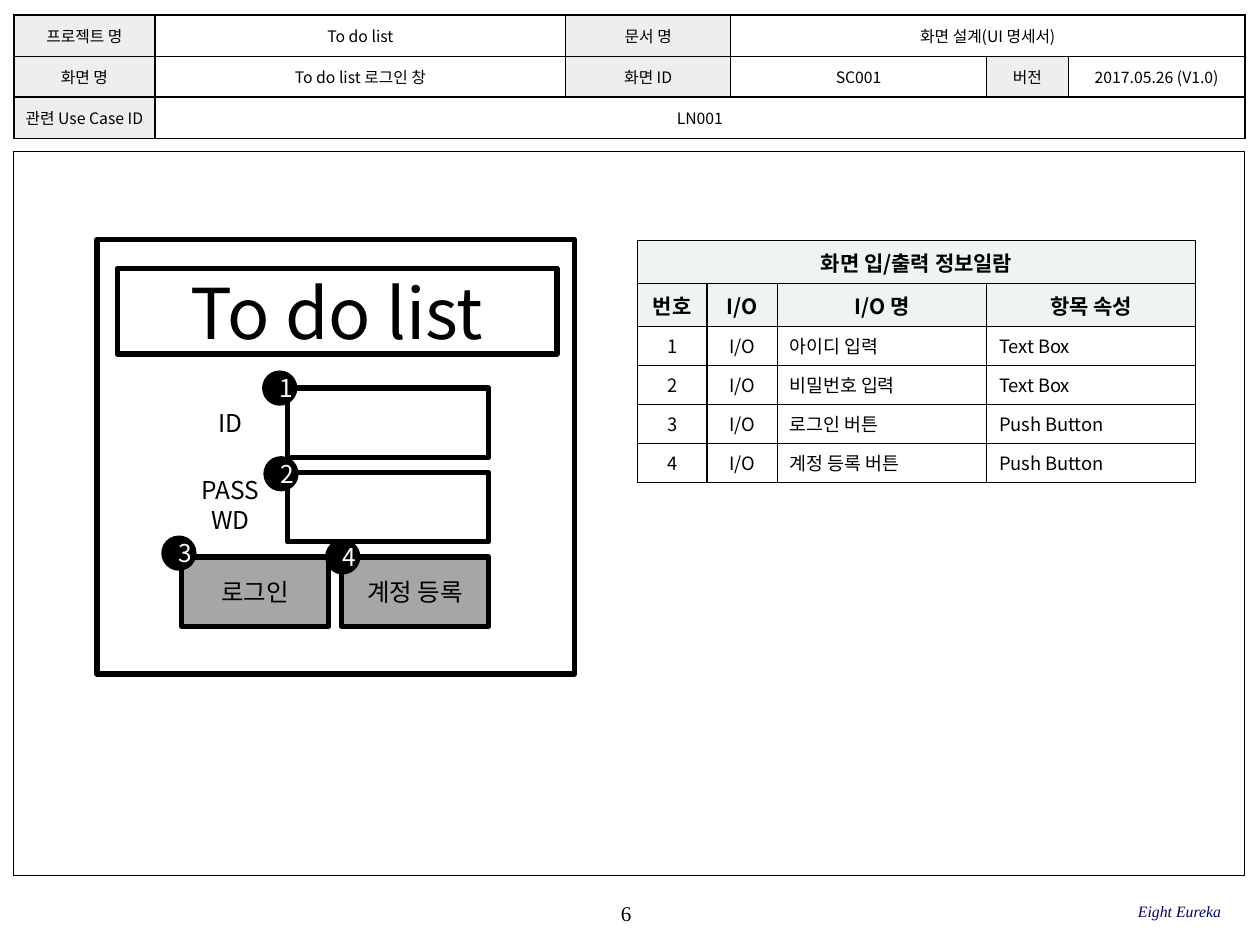
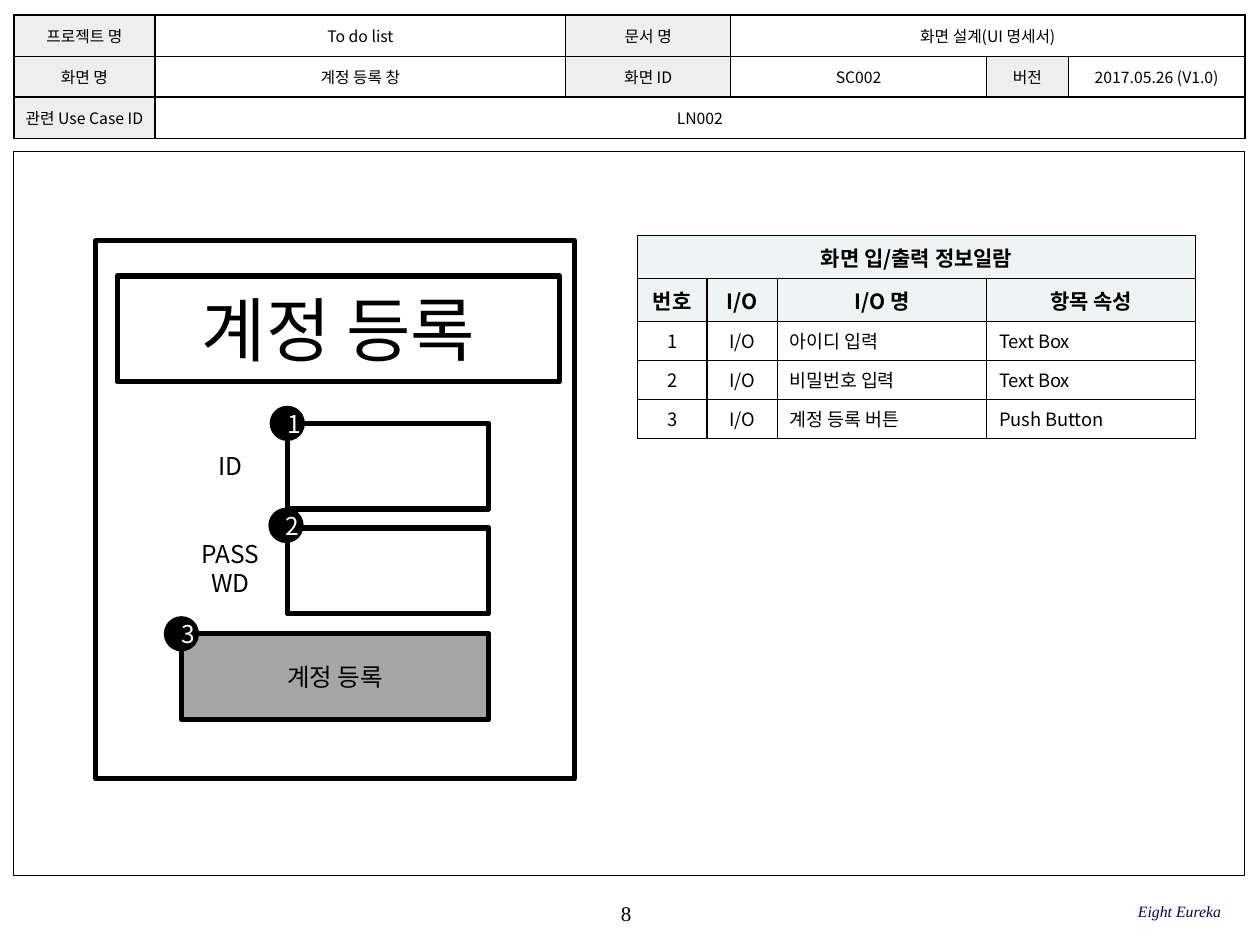
"""Build the login and sign-up screen specification slides."""
from lxml.etree import SubElement
from pptx import Presentation
from pptx.dml.color import RGBColor
from pptx.enum.shapes import MSO_SHAPE as SHAPE
from pptx.enum.text import MSO_ANCHOR as ANCHOR, PP_ALIGN as ALIGN
from pptx.oxml.ns import qn
from pptx.util import Emu, Pt

PX = 9144
BLACK = RGBColor(0x00, 0x00, 0x00)
WHITE = RGBColor(0xFF, 0xFF, 0xFF)
NAVY = RGBColor(0x00, 0x00, 0x66)
LABEL_GRAY = RGBColor(0xEE, 0xEE, 0xEE)
HEAD_TINT = RGBColor(0xEE, 0xF4, 0xF4)
BUTTON_GRAY = RGBColor(0xA6, 0xA6, 0xA6)
SANS = "Noto Sans CJK KR"
SERIF = "Times New Roman"

FORM_LEFT, FIELD_LEFT, FORM_RIGHT = 144, 228, 388
LABEL_WIDTH, BUTTON_GAP, BADGE = 78, 10, 28

SCREENS = [
    dict(number="6", name="To do list 로그인 창", id="SC001", use_case="LN001",
         items=[("아이디 입력", "Text Box"), ("비밀번호 입력", "Text Box"),
                ("로그인 버튼", "Push Button"), ("계정 등록 버튼", "Push Button")],
         items_top=191, window=(77, 190, 379, 345),
         title="To do list", title_box=(93, 213, 349, 68),
         tops=(308, 375, 442), height=55, buttons=["로그인", "계정 등록"],
         badges=[(208, 294), (209, 362), (128, 425), (258, 428)]),
    dict(number="8", name="계정 등록 창", id="SC002", use_case="LN002",
         items=[("아이디 입력", "Text Box"), ("비밀번호 입력", "Text Box"),
                ("계정 등록 버튼", "Push Button")],
         items_top=187, window=(76, 191, 380, 427),
         title="계정 등록", title_box=(93, 219, 351, 84),
         tops=(336, 419, 503), height=68, buttons=["계정 등록"],
         badges=[(214, 322), (213, 403), (130, 489)]),
]


class Deck:
    """Hold the shared style and the current slide."""

    def __init__(self):
        self.prs = Presentation()
        self.prs.slide_width, self.prs.slide_height = self.emu(1000, 750)
        self.s = None

    def emu(self, *lengths):
        return [Emu(n * PX) for n in lengths]

    def set_text(self, tf, text, size, color=BLACK, align=ALIGN.CENTER,
                 font=SANS, bold=False, italic=False):
        p = tf.paragraphs[0]
        p.text, p.alignment = text, align
        p.font.size, p.font.name = Pt(size), font
        p.font.bold, p.font.italic = bold, italic
        p.font.color.rgb = color
        SubElement(p._p.pPr.find(qn("a:defRPr")), qn("a:ea"), typeface=font)

    def text(self, box, text, size, margin=None, **style):
        tf = self.s.shapes.add_textbox(*self.emu(*box)).text_frame
        tf.word_wrap, tf.vertical_anchor = True, ANCHOR.MIDDLE
        if margin is not None:
            tf.margin_left = tf.margin_right = Emu(margin * PX)
            tf.margin_top = tf.margin_bottom = Emu(margin * PX)
        self.set_text(tf, text, size, **style)

    def shape(self, box, text="", size=14, kind=SHAPE.RECTANGLE,
              fill=None, line=3, color=BLACK):
        sp = self.s.shapes.add_shape(kind, *self.emu(*box))
        sp.shadow.inherit = False
        self.paint(sp.fill, fill)
        if line:
            sp.line.color.rgb, sp.line.width = BLACK, Pt(line)
        else:
            sp.line.fill.background()
        if text:
            sp.text_frame.vertical_anchor = ANCHOR.MIDDLE
            self.set_text(sp.text_frame, text, size, color)

    def paint(self, fill, color):
        if color is None:
            fill.background()
        else:
            fill.solid()
            fill.fore_color.rgb = color

    def table(self, left, top, cols, heights, rows, style, spans, margins=None):
        box = self.emu(left, top, sum(cols), sum(heights))
        table = self.s.shapes.add_table(len(rows), len(cols), *box).table
        table.first_row = table.horz_banding = False
        for col, width in zip(table.columns, self.emu(*cols)):
            col.width = width
        for row, height in zip(table.rows, self.emu(*heights)):
            row.height = height
        for r, row in enumerate(rows):
            for c in range(len(cols)):
                cell = table.cell(r, c)
                text = row[c] if c < len(row) else ""
                fill, font = style(r, c, text)
                self.set_text(cell.text_frame, text, **font)
                cell.vertical_anchor = ANCHOR.MIDDLE
                if margins:
                    cell.margin_left = cell.margin_right = Emu(margins[0] * PX)
                    cell.margin_top = cell.margin_bottom = Emu(margins[1] * PX)
                self.border(cell)
                self.paint(cell.fill, fill)
        for r, first, last in spans:
            table.cell(r, first).merge(table.cell(r, last))

    def border(self, cell):
        props = cell._tc.get_or_add_tcPr()
        for side in ("lnL", "lnR", "lnT", "lnB"):
            ln = SubElement(props, qn(f"a:{side}"), w=str(Pt(1)))
            SubElement(SubElement(ln, qn("a:solidFill")), qn("a:srgbClr"), val=str(BLACK))

    def page(self, screen):
        self.s = self.prs.slides.add_slide(self.prs.slide_layouts[6])
        self.text((393, 708, 208, 33), screen["number"], 12, margin=0, font=SERIF)
        self.shape((11, 120, 977, 575), line=0.75)
        self.text((663, 707, 306, 33), "Eight Eureka", 9, margin=0, font=SERIF,
                  color=NAVY, align=ALIGN.RIGHT, italic=True)
        rows = [
            ["프로젝트 명", "To do list", "문서 명", "화면 설계(UI 명세서)"],
            ["화면 명", screen["name"], "화면 ID", screen["id"], "버전", "2017.05.26 (V1.0)"],
            ["관련 Use Case ID", screen["use_case"]],
        ]

        def style(r, c, text):
            return LABEL_GRAY if text and c % 2 == 0 else None, dict(size=9)

        self.table(11, 12, (112, 326, 131, 203, 65, 140), (33, 32, 33), rows, style,
                   [(0, 3, 5), (2, 1, 5)], margins=(4, 2))

    def item_table(self, screen):
        rows = [["화면 입/출력 정보일람"], ["번호", "I/O", "I/O 명", "항목 속성"]]
        rows += [[str(i), "I/O", *item] for i, item in enumerate(screen["items"], 1)]

        def style(r, c, text):
            if r < 2:
                return HEAD_TINT, dict(size=12, bold=True)
            return WHITE, dict(size=10.5, align=ALIGN.CENTER if c < 2 else ALIGN.LEFT)

        heights = [34, 34] + [31] * len(screen["items"])
        self.table(506, screen["items_top"], (55, 56, 166, 166), heights, rows, style,
                   [(0, 0, 3)])

    def mockup(self, screen):
        height = screen["height"]
        id_top, password_top, button_top = screen["tops"]
        self.shape(screen["window"])
        self.shape(screen["title_box"], screen["title"], 40, fill=WHITE)
        for label, top, label_top in (("ID", id_top, id_top),
                                      ("PASSWD", password_top, password_top - 2)):
            self.shape((FIELD_LEFT, top, FORM_RIGHT - FIELD_LEFT, height))
            self.text((FORM_LEFT, label_top, LABEL_WIDTH, height), label, 14)
        count = len(screen["buttons"])
        width = (FORM_RIGHT - FORM_LEFT - BUTTON_GAP * (count - 1)) // count
        for i, label in enumerate(screen["buttons"]):
            left = FORM_LEFT + i * (width + BUTTON_GAP)
            self.shape((left, button_top, width, height), label, fill=BUTTON_GRAY)
        for i, (left, top) in enumerate(screen["badges"], 1):
            self.shape((left, top, BADGE, BADGE), str(i), kind=SHAPE.OVAL,
                       fill=BLACK, line=None, color=WHITE)


def main():
    deck = Deck()
    for screen in SCREENS:
        deck.page(screen)
        deck.item_table(screen)
        deck.mockup(screen)
    deck.prs.save("out.pptx")


if __name__ == "__main__":
    main()
